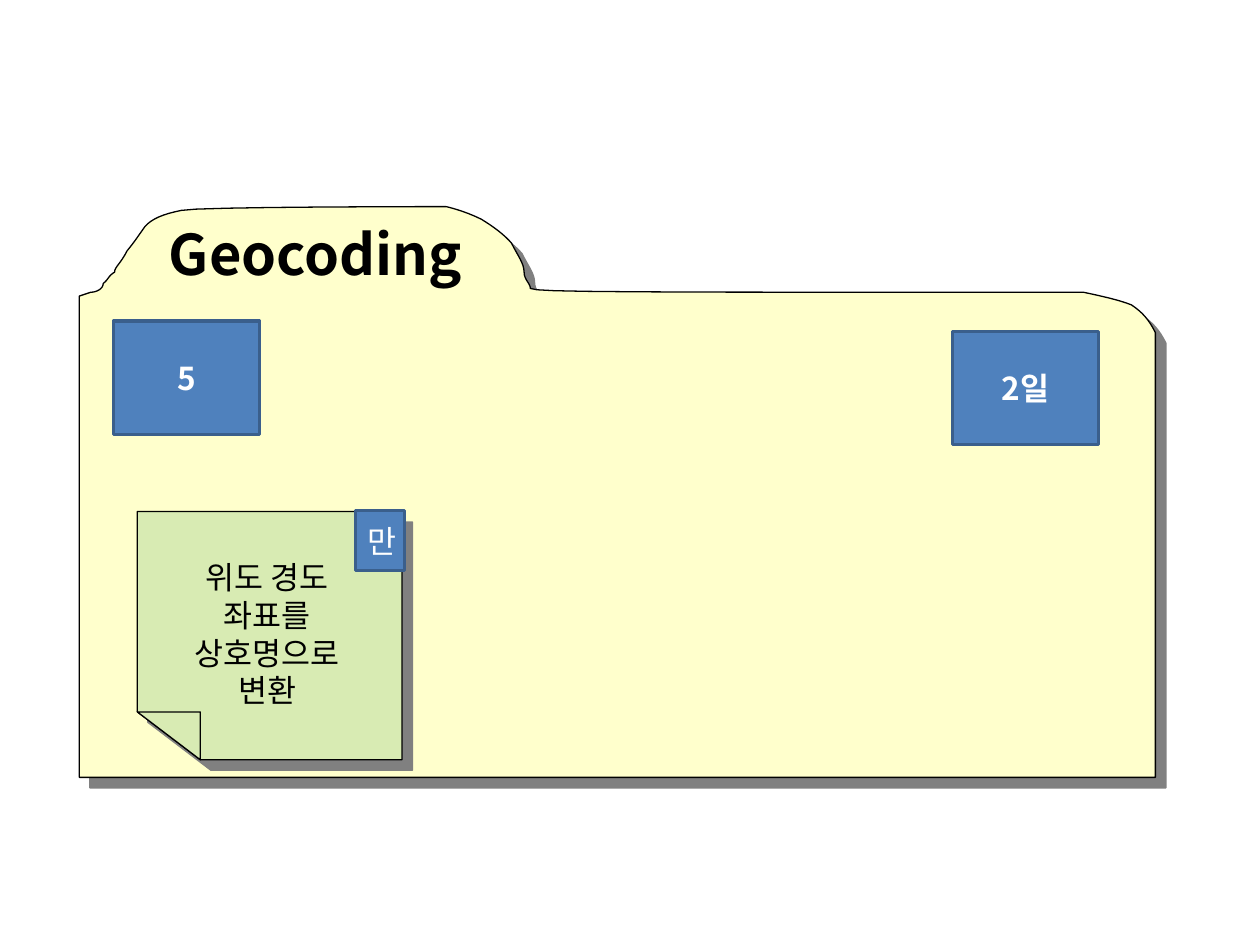
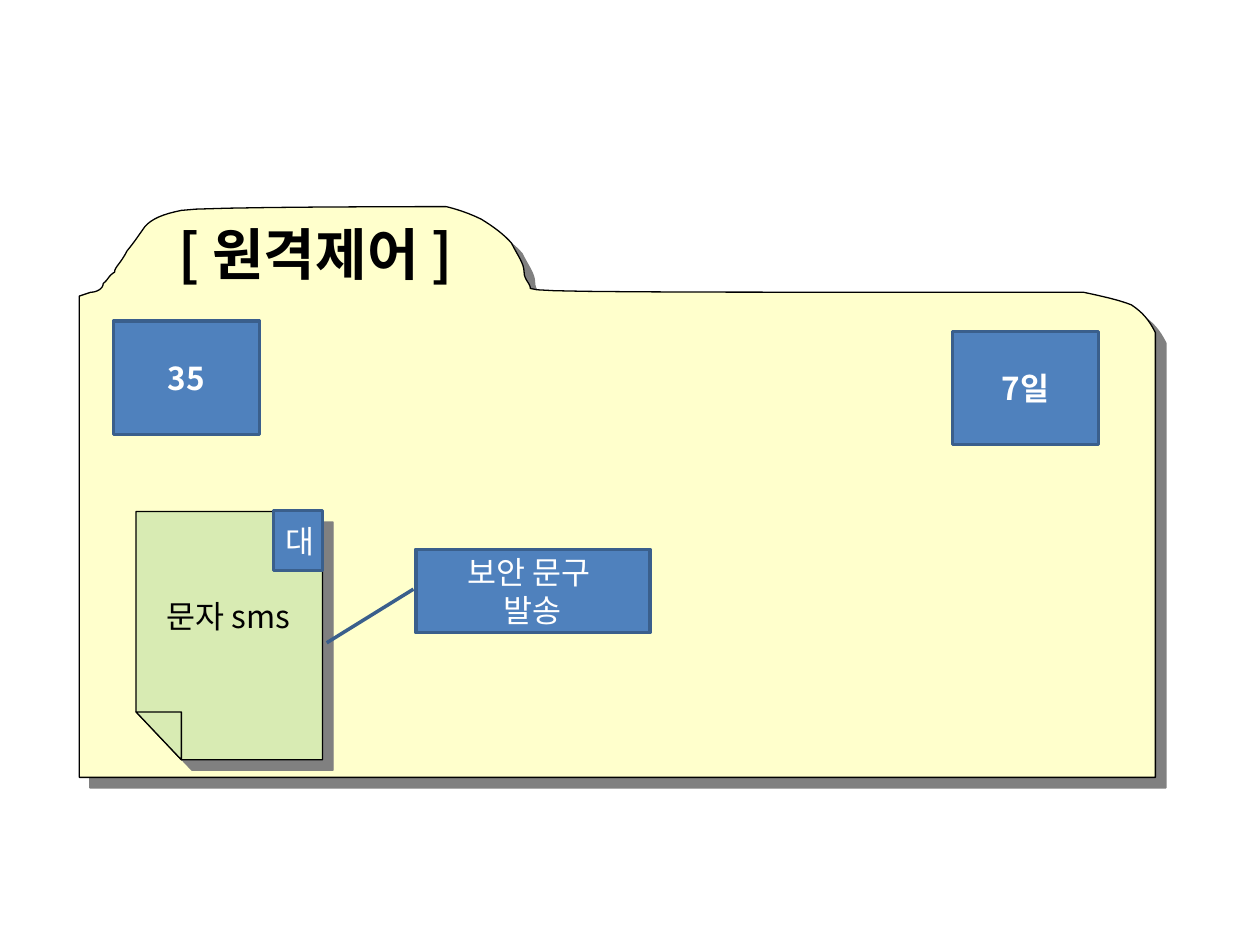
from dataclasses import dataclass
from typing import NamedTuple, Optional

from lxml.etree import SubElement
from pptx import Presentation
from pptx.dml.color import RGBColor
from pptx.enum.shapes import MSO_SHAPE
from pptx.enum.text import MSO_ANCHOR, PP_ALIGN
from pptx.oxml.ns import qn
from pptx.util import Emu, Pt

EMU_PER_PX = 9144  # 100 px to the inch
FONT = "Noto Sans CJK KR"
BLACK = RGBColor(0x00, 0x00, 0x00)
WHITE = RGBColor(0xFF, 0xFF, 0xFF)
FOLDER_YELLOW = RGBColor(0xFF, 0xFF, 0xCC)
NOTE_GREEN = RGBColor(0xD8, 0xEB, 0xB3)
LABEL_BLUE = RGBColor(0x4F, 0x81, 0xBD)
LABEL_EDGE = RGBColor(0x3A, 0x5F, 0x8C)
CURVE_STEPS = 8


class Box(NamedTuple):
    left: int
    top: int
    width: int
    height: int


TITLE_BOX = Box(113, 169, 275, 64)
PRIORITY_BOX = Box(90, 255, 116, 90)
DURATION_BOX = Box(756, 263, 116, 90)
CALLOUT_BOX = Box(330, 436, 186, 66)
CALLOUT_TAIL = (0.48, -0.01, 1.125, -0.38)
NOTE_TOP, NOTE_BOTTOM = 406, 603
FOLD_HEIGHT, FOLD_SHARE = 38, 0.24

# Pairs are corners; groups of three pairs are cubic curves.
FOLDER_START = (845, 232)
FOLDER_STEPS = [
    (497, 232, 425, 232, 421, 229),
    (421, 225, 416, 222, 416, 216),
    (416, 209, 411, 203, 406, 193),
    (401, 187, 392, 180, 382, 174),
    (368, 167, 354, 164, 354, 164),
    (354, 164, 153, 164, 144, 167),
    (129, 170, 120, 174, 115, 180),
    (110, 187, 106, 193, 101, 199),
    (96, 209, 91, 212, 91, 216),
    (86, 219, 86, 222, 82, 225),
    (82, 229, 77, 232, 72, 232),
    (63, 235),
    (63, 617),
    (917, 617),
    (917, 264),
    (912, 254, 907, 248, 898, 242),
    (888, 238, 874, 235, 860, 232),
]


@dataclass(frozen=True)
class Note:
    text: str
    left: int
    width: int
    text_box: Box
    badge: str
    badge_left: int


@dataclass(frozen=True)
class Story:
    title: str
    priority: str
    duration: str
    note: Note
    callout: Optional[str] = None


STORIES = [
    Story("Geocoding", "5", "2일",
          Note("위도 경도 좌표를 상호명으로 변환", 109, 210, Box(123, 438, 178, 101), "만", 282)),
    Story("[ 원격제어 ]", "35", "7일",
          Note("문자 sms", 108, 148, Box(113, 469, 137, 40), "대", 217),
          callout="보안 문구 \n발송"),
]


def px(length: float) -> Emu:
    return Emu(round(length * EMU_PER_PX))


def place(box: Box) -> list[Emu]:
    return [px(length) for length in box]


def write(shape, text: str, *, size: int = 18, color: RGBColor = BLACK,
          bold: bool = False, anchor: MSO_ANCHOR = MSO_ANCHOR.TOP) -> None:
    """Fill a shape with centred text, one paragraph a line."""
    frame = shape.text_frame
    frame.word_wrap = True
    frame.vertical_anchor = anchor
    for index, line in enumerate(text.split("\n")):
        para = frame.add_paragraph() if index else frame.paragraphs[0]
        para.alignment = PP_ALIGN.CENTER
        span = para.add_run()
        span.text = line
        span.font.name = FONT
        span.font.size = Pt(size)
        span.font.bold = bold
        span.font.color.rgb = color
        SubElement(span.font._element, qn("a:ea"), typeface=FONT)


def paint(shape, fill: RGBColor, edge: RGBColor, weight: float) -> None:
    shape.shadow.inherit = False
    shape.fill.solid()
    shape.fill.fore_color.rgb = fill
    shape.line.color.rgb = edge
    shape.line.width = Pt(weight)


def add_text(page, box: Box, text: str, **style) -> None:
    write(page.shapes.add_textbox(*place(box)), text, **style)


def add_label(page, box: Box, text: str, *, bold: bool = False,
              kind: MSO_SHAPE = MSO_SHAPE.RECTANGLE):
    label = page.shapes.add_shape(kind, *place(box))
    paint(label, LABEL_BLUE, LABEL_EDGE, 2)
    write(label, text, color=WHITE, bold=bold, anchor=MSO_ANCHOR.MIDDLE)
    return label


def curve_points(start: tuple, step: tuple) -> list[tuple]:
    """Sample a cubic curve, leaving out its start."""
    controls = [start, step[0:2], step[2:4], step[4:6]]
    points = []
    for index in range(1, CURVE_STEPS + 1):
        t = index / CURVE_STEPS
        weights = ((1 - t) ** 3, 3 * t * (1 - t) ** 2, 3 * t * t * (1 - t), t ** 3)
        points.append(tuple(sum(w * point[axis] for w, point in zip(weights, controls))
                            for axis in (0, 1)))
    return points


def folder_outline() -> list[tuple]:
    points = [FOLDER_START]
    for step in FOLDER_STEPS:
        points += [step] if len(step) == 2 else curve_points(points[-1], step)
    return points


def add_outline(page, points: list[tuple], fill: RGBColor, *, shadow: bool = False) -> None:
    corners = [(px(x), px(y)) for x, y in points]
    builder = page.shapes.build_freeform(*corners[0])
    builder.add_line_segments(corners[1:], close=True)
    outline = builder.convert_to_shape()
    paint(outline, fill, BLACK, 0.75)
    if shadow:
        effects = outline._element.spPr.find(qn("a:effectLst"))
        cast = SubElement(effects, qn("a:outerShdw"), dist=str(Pt(8.5)),
                          dir="2700000", algn="ctr", rotWithShape="0")
        SubElement(cast, qn("a:srgbClr"), val="808080")


def add_note(page, note: Note) -> None:
    right = note.left + note.width
    fold_right = note.left + round(note.width * FOLD_SHARE)
    fold_top = NOTE_BOTTOM - FOLD_HEIGHT
    fold_start, fold_end = (note.left, fold_top), (fold_right, NOTE_BOTTOM)
    sheet = [fold_start, (note.left, NOTE_TOP), (right, NOTE_TOP),
             (right, NOTE_BOTTOM), fold_end]
    add_outline(page, sheet, NOTE_GREEN, shadow=True)
    add_outline(page, [fold_start, (fold_right, fold_top), fold_end], NOTE_GREEN)
    add_text(page, note.text_box, note.text)
    add_label(page, Box(note.badge_left, 405, 39, 48), note.badge)


def add_story(deck, story: Story) -> None:
    page = deck.slides.add_slide(deck.slide_layouts[6])
    add_outline(page, folder_outline(), FOLDER_YELLOW, shadow=True)
    add_text(page, TITLE_BOX, story.title, size=32, bold=True)
    add_label(page, PRIORITY_BOX, story.priority, bold=True)
    add_label(page, DURATION_BOX, story.duration, bold=True)
    add_note(page, story.note)
    if story.callout:
        callout = add_label(page, CALLOUT_BOX, story.callout, kind=MSO_SHAPE.LINE_CALLOUT_1)
        for index, value in enumerate(CALLOUT_TAIL):
            callout.adjustments[index] = value


def main() -> None:
    deck = Presentation()
    deck.slide_width, deck.slide_height = px(1000), px(750)
    for story in STORIES:
        add_story(deck, story)
    deck.save("out.pptx")


if __name__ == "__main__":
    main()
